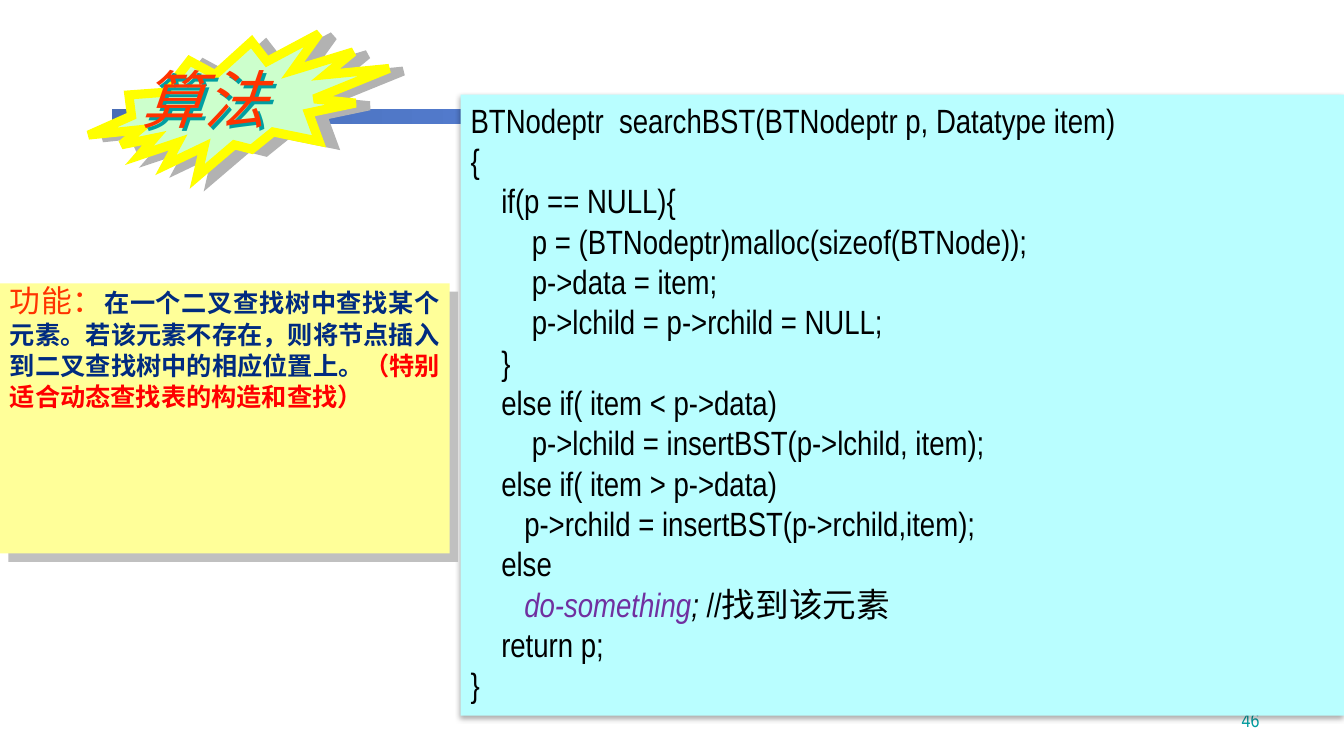
import pptx
import pptx.dml.color
import pptx.enum.shapes
import pptx.enum.text
import pptx.oxml
import pptx.oxml.ns
import pptx.util

RGBColor = pptx.dml.color.RGBColor
Shape = pptx.enum.shapes.MSO_SHAPE
Align = pptx.enum.text.PP_ALIGN
Anchor = pptx.enum.text.MSO_ANCHOR

BAR_START = RGBColor(0x49, 0x6D, 0xB6)
BAR_END = RGBColor(0x66, 0x99, 0xFF)
TEAL = RGBColor(0x00, 0x9E, 0xA1)
CYAN = RGBColor(0xB9, 0xFE, 0xFF)
PALE_YELLOW = RGBColor(0xFF, 0xFF, 0x99)
YELLOW = RGBColor(0xFF, 0xFF, 0x00)
PALE_GREEN = RGBColor(0xCC, 0xFF, 0xCC)
ORANGE = RGBColor(0xFF, 0x33, 0x00)
RED = RGBColor(0xFF, 0x00, 0x00)
NAVY = RGBColor(0x00, 0x2B, 0x80)
PURPLE = RGBColor(0x70, 0x30, 0xA0)
BLACK = RGBColor(0x00, 0x00, 0x00)
SILVER = RGBColor(0xC0, 0xC0, 0xC0)
GREY = RGBColor(0xB2, 0xB2, 0xB2)

LATIN_FONT = "Arial Narrow"
CHINESE_FONT = "Noto Sans CJK SC"
CODE_SPACE = 5.47
NAMESPACE = pptx.oxml.ns.nsdecls("a")

CODE_LINES = [
    (0, "BTNodeptr  searchBST(BTNodeptr p, Datatype item)"),
    (0, "{"),
    (4, "if(p == NULL){"),
    (8, "p = (BTNodeptr)malloc(sizeof(BTNode));"),
    (8, "p->data = item;"),
    (8, "p->lchild = p->rchild = NULL;"),
    (4, "}"),
    (4, "else if( item < p->data)"),
    (8, "p->lchild = insertBST(p->lchild, item);"),
    (4, "else if( item > p->data)"),
    (7, "p->rchild = insertBST(p->rchild,item);"),
    (4, "else"),
    (7, [("do-something", {"color": PURPLE, "italic": True}),
         (";", {"italic": True}), (" //找到该元素", {})]),
    (4, "return p;"),
    (0, "}"),
]


class SlideBuilder:
    """Hold the slide and its style; boxes are percentages of the slide's size."""

    def __init__(self, presentation):
        self.width = presentation.slide_width
        self.height = presentation.slide_height
        self.slide = presentation.slides.add_slide(presentation.slide_layouts[6])

    def place(self, box):
        sizes = (self.width, self.height) * 2
        return [round(size * share / 100) for size, share in zip(sizes, box)]

    def panel(self, box, color, preset=Shape.RECTANGLE):
        shape = self.slide.shapes.add_shape(preset, *self.place(box))
        shape.shadow.inherit = False
        shape.fill.solid()
        shape.fill.fore_color.rgb = color
        shape.line.fill.background()
        return shape

    def gradient_bar(self, box, start, end):
        shape = self.panel(box, start)
        shape.fill.gradient()
        shape.fill.gradient_angle = 0
        for stop, color in zip(shape.fill.gradient_stops, (start, end)):
            stop.color.rgb = color

    def outline(self, shape, color, points):
        shape.line.color.rgb = color
        shape.line.width = pptx.util.Pt(points)
        line = shape._element.spPr.find(pptx.oxml.ns.qn("a:ln"))
        line.append(pptx.oxml.parse_xml(f'<a:miter {NAMESPACE} lim="800000"/>'))

    def shadow(self, shape, color, distance, angle, blur=0, opacity=100):
        shape.shadow.inherit = False
        effects = shape._element.spPr.find(pptx.oxml.ns.qn("a:effectLst"))
        effects.append(pptx.oxml.parse_xml(
            f'<a:outerShdw {NAMESPACE} blurRad="{pptx.util.Pt(blur)}" '
            f'dist="{pptx.util.Pt(distance)}" dir="{angle * 60000}" algn="ctr" '
            f'rotWithShape="0"><a:srgbClr val="{color}">'
            f'<a:alpha val="{opacity * 1000}"/></a:srgbClr></a:outerShdw>'))

    def text_box(self, box, anchor=Anchor.TOP):
        shape = self.slide.shapes.add_textbox(*self.place(box))
        self.frame(shape, anchor)
        return shape

    def frame(self, shape, anchor):
        shape.text_frame.word_wrap = True
        shape.text_frame.vertical_anchor = anchor

    def add_text(self, paragraph, pieces, size, color, font=LATIN_FONT, align=Align.LEFT):
        paragraph.alignment = align
        for text, style in pieces:
            run = paragraph.add_run()
            run.text = text
            run.font.size = pptx.util.Pt(style.get("size", size))
            run.font.color.rgb = style.get("color", color)
            run.font.bold = style.get("bold", False)
            run.font.italic = style.get("italic", False)
            run.font.name = font
            run._r.get_or_add_rPr().append(pptx.oxml.parse_xml(
                f'<a:ea {NAMESPACE} typeface="{CHINESE_FONT}"/>'))

    def code(self, box, lines):
        shape = self.panel(box, CYAN)
        self.shadow(shape, BLACK, 2.2, 90, blur=3.5, opacity=32)
        self.frame(shape, Anchor.TOP)
        frame = shape.text_frame
        for number, (spaces, content) in enumerate(lines):
            paragraph = frame.add_paragraph() if number else frame.paragraphs[0]
            pieces = [(content, {})] if isinstance(content, str) else content
            self.add_text(paragraph, pieces, 24, BLACK)
            properties = paragraph._p.get_or_add_pPr()
            properties.set("marL", str(pptx.util.Pt(spaces * CODE_SPACE)))
            properties.set("indent", "0")


def main():
    presentation = pptx.Presentation()
    presentation.slide_width = pptx.util.Inches(13.33)
    presentation.slide_height = pptx.util.Inches(7.5)
    builder = SlideBuilder(presentation)

    builder.gradient_bar((8.33, 14.4, 82.75, 2), BAR_START, BAR_END)
    number = builder.text_box((73.59, 90.8, 20.86, 6.67), Anchor.BOTTOM)
    builder.add_text(number.text_frame.paragraphs[0], [("46", {})], 14, TEAL,
                     align=Align.RIGHT)
    builder.code((34.28, 12.53, 65.72, 82.13), CODE_LINES)

    card = builder.panel((0, 37.47, 33.46, 35.73), PALE_YELLOW)
    builder.shadow(card, SILVER, 8.5, 45)
    purpose = builder.text_box((0, 37.47, 33.46, 17.87)).text_frame.paragraphs[0]
    purpose.line_spacing = pptx.util.Pt(22)
    builder.add_text(purpose, [
        ("功能：", {"size": 22, "color": ORANGE}),
        ("在一个二叉查找树中查找某个元素。若该元素不存在，则将节点插入到二叉查找树中的相应位置上。",
         {"bold": True}),
        ("（特别适合动态查找表的构造和查找）", {"color": RED, "bold": True}),
    ], 18, NAVY, CHINESE_FONT, Align.JUSTIFY)

    burst = builder.panel((13.28, -5.87, 9.3, 40), PALE_GREEN, Shape.EXPLOSION2)
    burst.rotation = 66.8
    builder.outline(burst, YELLOW, 6.5)
    builder.shadow(burst, GREY, 10.2, 11)
    title = builder.text_box((9.75, 7.33, 19.2, 11.33), Anchor.MIDDLE)
    builder.shadow(title, TEAL, 2.8, 45)
    builder.add_text(title.text_frame.paragraphs[0], [("算法", {"italic": True})], 45, ORANGE)

    presentation.save("out.pptx")


if __name__ == "__main__":
    main()
